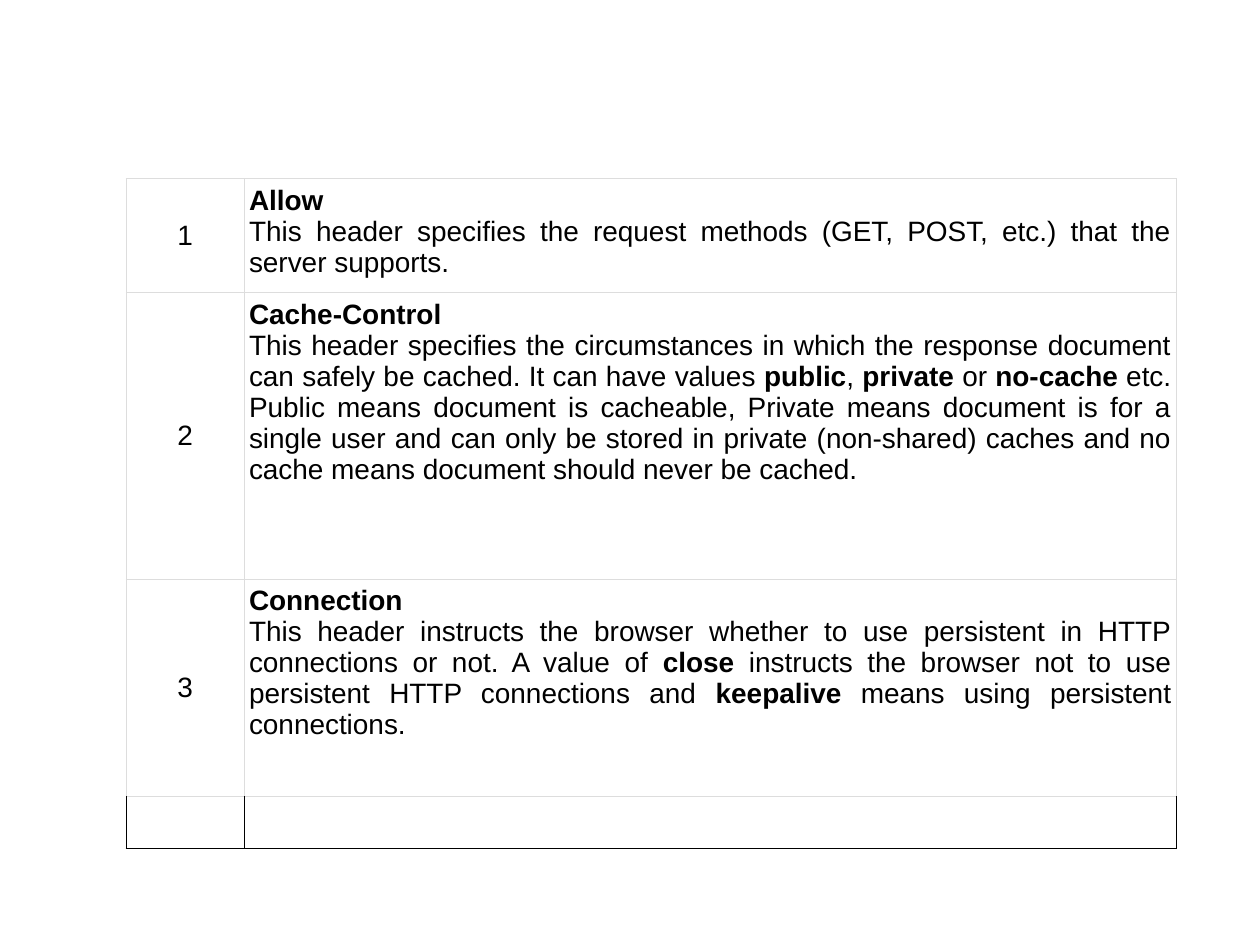
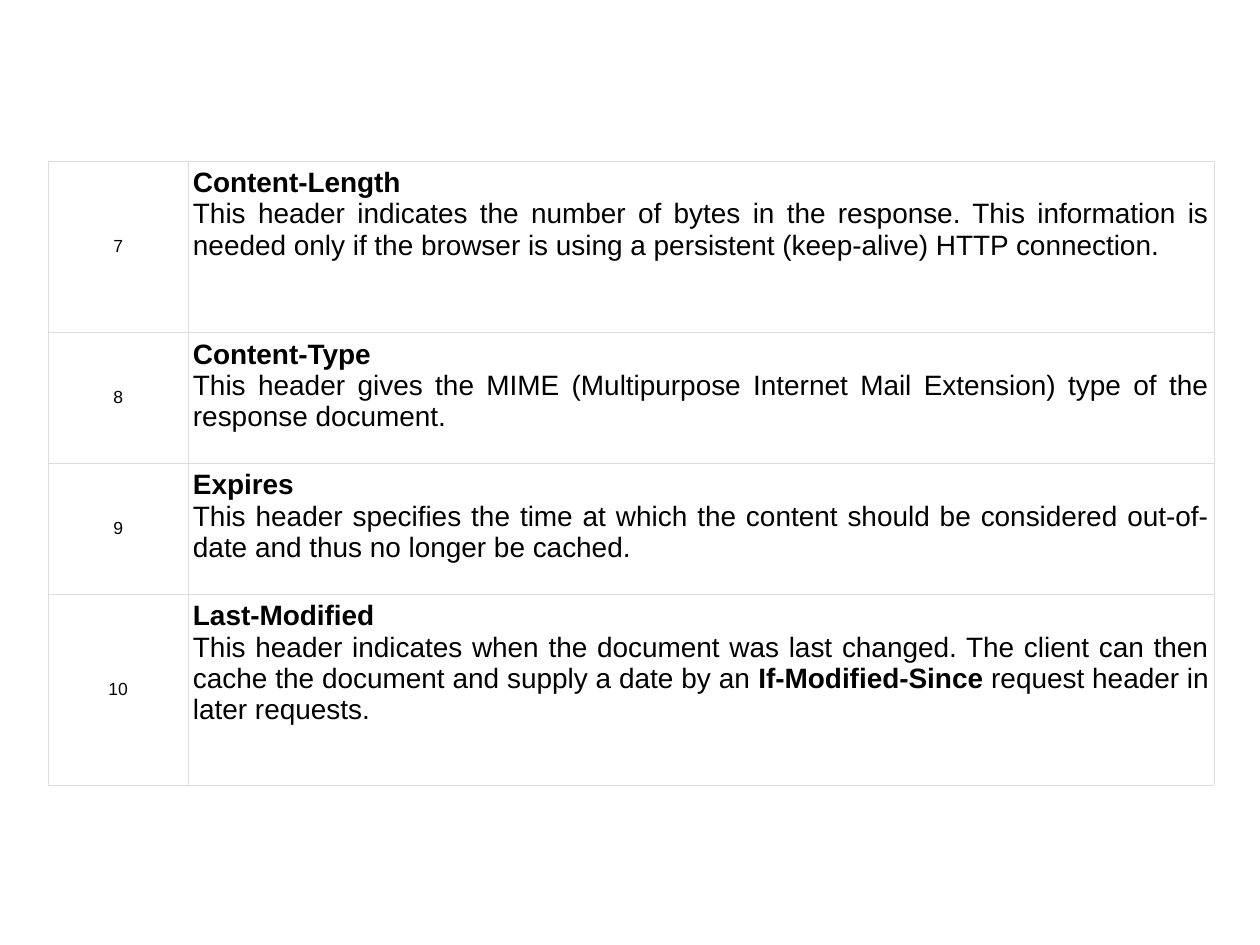
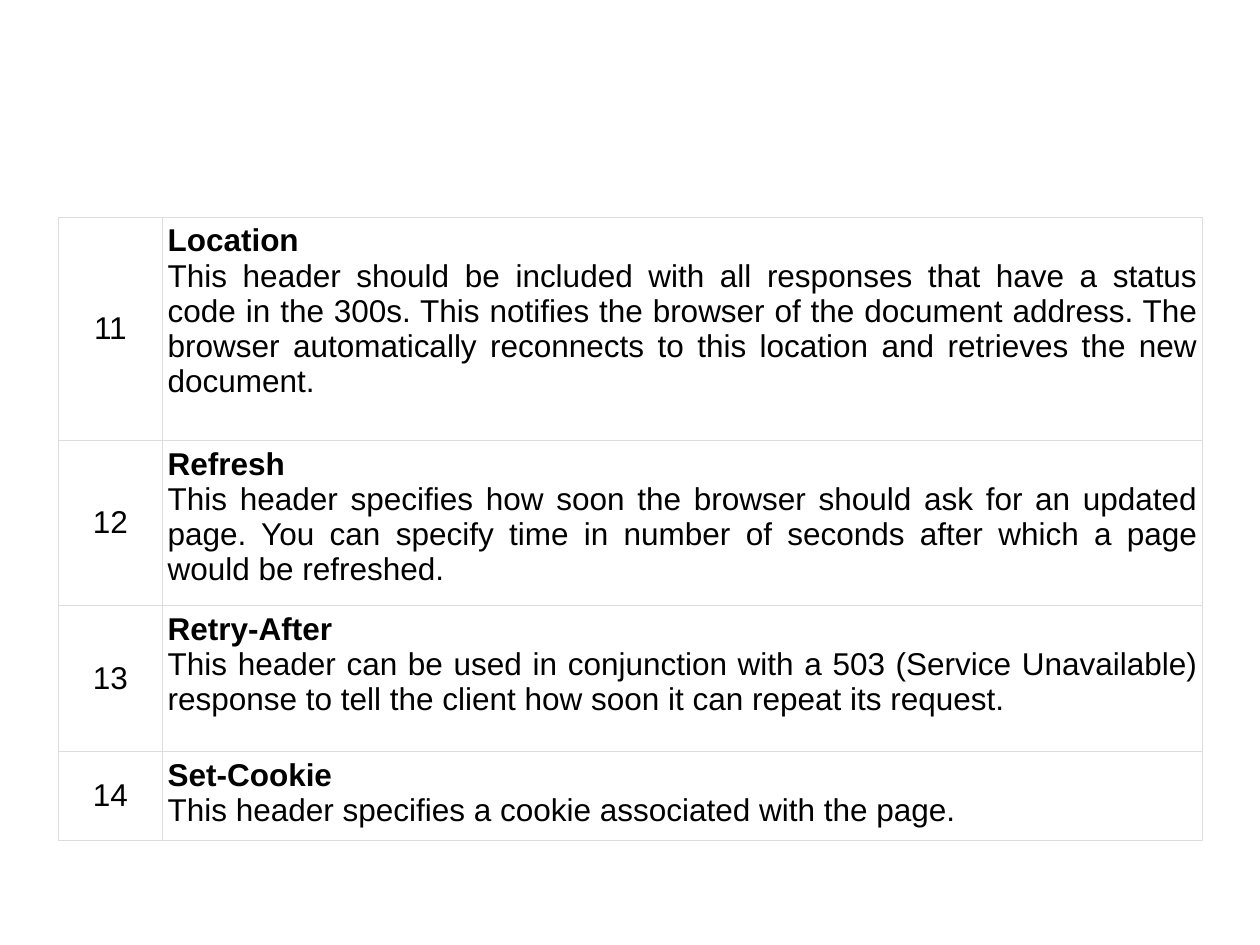
from dataclasses import dataclass

from lxml.etree import SubElement
from pptx import Presentation
from pptx.dml.color import RGBColor
from pptx.enum.text import MSO_ANCHOR as Anchor, PP_ALIGN as Align
from pptx.oxml.ns import qn
from pptx.util import Cm, Pt


@dataclass(frozen=True)
class Theme:
    font: str = "Arial"
    ink: str = "000000"
    grid: str = "DDDDDD"
    grid_width: float = 0.34
    edge_width: float = 0.45
    side_margin: float = 0.1
    end_margin: float = 0.13
    small: int = 10
    normal: int = 16
    large: int = 18


theme = Theme()

# Each page: place, columns and type sizes, then its rows as
# (height, number, header name, description); ** switches bold on and off
pages = [
    dict(left=2.54, top=3.6, columns=(2.38, 18.79),
         number_size=theme.normal, text_size=theme.normal, rows=[
             (2.3, "1", "Allow",
              "This header specifies the request methods (GET, POST, etc.) that the server supports."),
             (5.77, "2", "Cache-Control",
              "This header specifies the circumstances in which the response document can safely be "
              "cached. It can have values **public**, **private **or **no-cache** etc. Public means "
              "document is cacheable, Private means document is for a single user and can only be "
              "stored in private (non-shared) caches and no cache means document should never be "
              "cached."),
             (4.39, "3", "Connection",
              "This header instructs the browser whether to use persistent in HTTP connections or "
              "not. A value of **close** instructs the browser not to use persistent HTTP "
              "connections and **keepalive** means using persistent connections."),
             (1.01, "", "", ""),
         ]),
    dict(left=0.97, top=3.25, columns=(2.82, 20.68),
         number_size=theme.small, text_size=theme.normal, rows=[
             (3.45, "7", "Content-Length",
              "This header indicates the number of bytes in the response. This information is "
              "needed only if the browser is using a persistent (keep-alive) HTTP connection."),
             (2.64, "8", "Content-Type",
              "This header gives the MIME (Multipurpose Internet Mail Extension) type of the "
              "response document."),
             (2.64, "9", "Expires",
              "This header specifies the time at which the content should be considered "
              "out-of-date and thus no longer be cached."),
             (3.84, "10", "Last-Modified",
              "This header indicates when the document was last changed. The client can then "
              "cache the document and supply a date by an **If-Modified-Since** request header "
              "in later requests."),
         ]),
    dict(left=1.17, top=4.37, columns=(2.11, 20.96),
         number_size=theme.large, text_size=theme.large, rows=[
             (4.5, "11", "Location",
              "This header should be included with all responses that have a status code in the "
              "300s. This notifies the browser of the document address. The browser automatically "
              "reconnects to this location and retrieves the new document."),
             (3.33, "12", "Refresh",
              "This header specifies how soon the browser should ask for an updated page. You can "
              "specify time in number of seconds after which a page would be refreshed."),
             (2.95, "13", "Retry-After",
              "This header can be used in conjunction with a 503 (Service Unavailable) response to "
              "tell the client how soon it can repeat its request."),
             (1.78, "14", "Set-Cookie",
              "This header specifies a cookie associated with the page."),
         ]),
]


def style_cell(cell, filled):
    """Set margins, borders and an empty fill; a cell without text gets dark edges."""
    cell.margin_left = cell.margin_right = Cm(theme.side_margin)
    cell.margin_top = cell.margin_bottom = Cm(theme.end_margin)
    properties = cell._tc.get_or_add_tcPr()
    for side in ("lnL", "lnR", "lnT", "lnB"):
        light = filled or side == "lnT"
        width = theme.grid_width if light else theme.edge_width
        line = SubElement(properties, qn(f"a:{side}"), w=str(int(Pt(width))))
        fill = SubElement(line, qn("a:solidFill"))
        SubElement(fill, qn("a:srgbClr"), val=theme.grid if light else theme.ink)
    cell.fill.background()


def write(para, marked_text, size, align):
    """Write text into a paragraph, with every second part between ** in bold."""
    para.alignment = align
    for index, part in enumerate(marked_text.split("**")):
        if part:
            span = para.add_run()
            span.text = part
            span.font.name = theme.font
            span.font.size = Pt(size)
            span.font.bold = index % 2 == 1
            span.font.color.rgb = RGBColor.from_string(theme.ink)


deck = Presentation()
deck.slide_width, deck.slide_height = Cm(25.4), Cm(19.05)

for page in pages:
    slide = deck.slides.add_slide(deck.slide_layouts[6])

    # Table frame
    rows, columns = page["rows"], page["columns"]
    table = slide.shapes.add_table(
        len(rows), len(columns), Cm(page["left"]), Cm(page["top"]),
        Cm(sum(columns)), Cm(sum(row[0] for row in rows))).table
    table.first_row = table.horz_banding = False
    for column, width in zip(table.columns, columns):
        column.width = Cm(width)

    # Numbered headers with their descriptions
    for row, (height, number, name, description) in zip(table.rows, rows):
        row.height = Cm(height)
        number_cell, text_cell = row.cells
        for cell in (number_cell, text_cell):
            style_cell(cell, filled=bool(number))
        if not number:
            continue
        number_cell.vertical_anchor = Anchor.MIDDLE
        write(number_cell.text_frame.paragraphs[0], number, page["number_size"], Align.CENTER)
        frame = text_cell.text_frame
        write(frame.paragraphs[0], f"**{name}**", page["text_size"], Align.JUSTIFY)
        write(frame.add_paragraph(), description, page["text_size"], Align.JUSTIFY)

deck.save("out.pptx")
